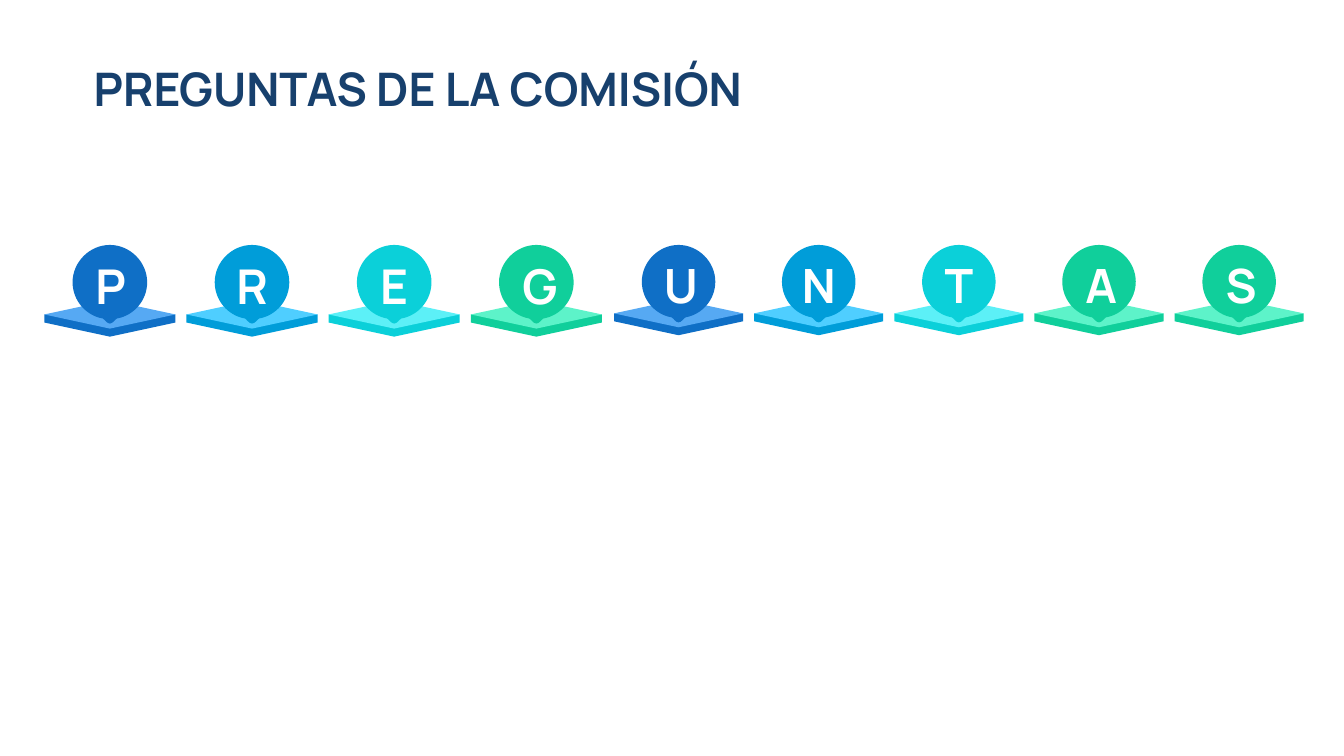
import lxml.etree
import pptx
import pptx.dml.color
import pptx.enum.text
import pptx.oxml.ns
import pptx.util

Inches = pptx.util.Inches
qn = pptx.oxml.ns.qn
FONT = "Manrope"
BLUE = ("0F6FC6", "56A9F3")
SKY = ("009DD9", "4FCEFF")
CYAN = ("0BD0D9", "5CF0F7")
GREEN = ("10CF9B", "5DF3C9")
TILE_WIDTH = 1.3
HALF = TILE_WIDTH / 2
BASE = [(-HALF, 0.77), (-HALF, 0.69), (0, 0.63), (HALF, 0.69), (HALF, 0.77), (0, 0.91)]
FACE = [(-HALF, 0.69), (0, 0.55), (HALF, 0.69), (0, 0.83)]
PIN_HALF = [(0, 0), (0.2, 0), (0.37, 0.17), (0.37, 0.37), (0.37, 0.55),
            (0.24, 0.7), (0.07, 0.73), (0.05, 0.74), (0.03, 0.78), (0, 0.78)]
PIN = PIN_HALF + [(-x, y) for x, y in PIN_HALF[-2::-1]]


def rgb(color):
    """Turn a hex string into a colour."""
    return pptx.dml.color.RGBColor.from_string(color)


def add_text(slide, box, text, size, color, margins):
    """Add a bold one-line text box and return its frame."""
    sp = slide.shapes.add_textbox(*map(Inches, box))
    tf = sp.text_frame
    tf.word_wrap = True
    tf.auto_size = pptx.enum.text.MSO_AUTO_SIZE.SHAPE_TO_FIT_TEXT
    tf.margin_left = tf.margin_right = Inches(margins[0])
    tf.margin_top = tf.margin_bottom = Inches(margins[1])
    p = tf.paragraphs[0]
    p.text = text
    p.font.name = FONT
    p.font.size = pptx.util.Pt(size)
    p.font.bold = True
    p.font.color.rgb = rgb(color)
    return tf


def add_outline(slide, points, color):
    """Add a closed filled outline through points given in inches."""
    points = [(Inches(x), Inches(y)) for x, y in points]
    builder = slide.shapes.build_freeform(*points[0])
    builder.add_line_segments(points[1:], close=True)
    sp = builder.convert_to_shape()
    sp.shadow.inherit = False
    sp.fill.solid()
    sp.fill.fore_color.rgb = rgb(color)
    sp.line.fill.background()
    return sp


def add_curve(slide, points, color):
    """Add a filled outline of cubic curves, two control points before each end."""
    sp = add_outline(slide, points[::3], color)
    lines = list(sp.element.iter(qn("a:lnTo")))
    for i, line in enumerate(lines):
        curve = lxml.etree.Element(qn("a:cubicBezTo"))
        for x, y in points[3 * i + 1:3 * i + 4]:
            pt = lxml.etree.SubElement(curve, qn("a:pt"))
            pt.set("x", str(Inches(x) - sp.left))
            pt.set("y", str(Inches(y) - sp.top))
        line.getparent().replace(line, curve)


def add_letter_pin(slide, left, top, width, letter, letter_width, colors):
    """Draw a tile with a lettered pin standing on it."""
    scale = width / TILE_WIDTH
    center = left + width / 2
    dark, light = colors
    for add, outline, color in ((add_outline, BASE, dark), (add_outline, FACE, light),
                                (add_curve, PIN, dark)):
        add(slide, [(center + x * scale, top + y * scale) for x, y in outline], color)
    box = (center - letter_width / 2, top + 0.09 * scale, letter_width, 0.63 * scale)
    tf = add_text(slide, box, letter, round(34.2 * scale, 1), "FFFFFF", (0.05, 0.02))
    tf.vertical_anchor = pptx.enum.text.MSO_ANCHOR.MIDDLE
    tf.paragraphs[0].alignment = pptx.enum.text.PP_ALIGN.CENTER


def add_pin_row(slide, left, top, width, step, letters):
    """Place lettered pins at equal steps."""
    for i, (letter, letter_width, colors) in enumerate(letters):
        add_letter_pin(slide, left + i * step, top, width, letter, letter_width, colors)


def add_title(slide, box, text):
    """Add the slide title."""
    tf = add_text(slide, box, text, 33, "17406D", (0.1, 0.05))
    tf.paragraphs[0].line_spacing = 1.52


def main():
    """Build and save the questions slide."""
    prs = pptx.Presentation()
    prs.slide_width, prs.slide_height = Inches(13.33), Inches(7.5)
    slide = prs.slides.add_slide(prs.slide_layouts[6])
    add_title(slide, (0.83, 0.26, 7.22, 0.66), "PREGUNTAS DE LA COMISIÓN")
    first = [("P", 0.39, BLUE), ("R", 0.59, SKY), ("E", 0.48, CYAN), ("G", 0.38, GREEN)]
    second = [("U", 0.39, BLUE), ("N", 0.58, SKY), ("T", 0.47, CYAN),
              ("A", 0.37, GREEN), ("S", 0.37, GREEN)]
    add_pin_row(slide, 0.44, 2.43, TILE_WIDTH, 1.41, first)
    add_pin_row(slide, 6.09, 2.43, 1.28, 1.39, second)
    prs.save("out.pptx")


if __name__ == "__main__":
    main()
